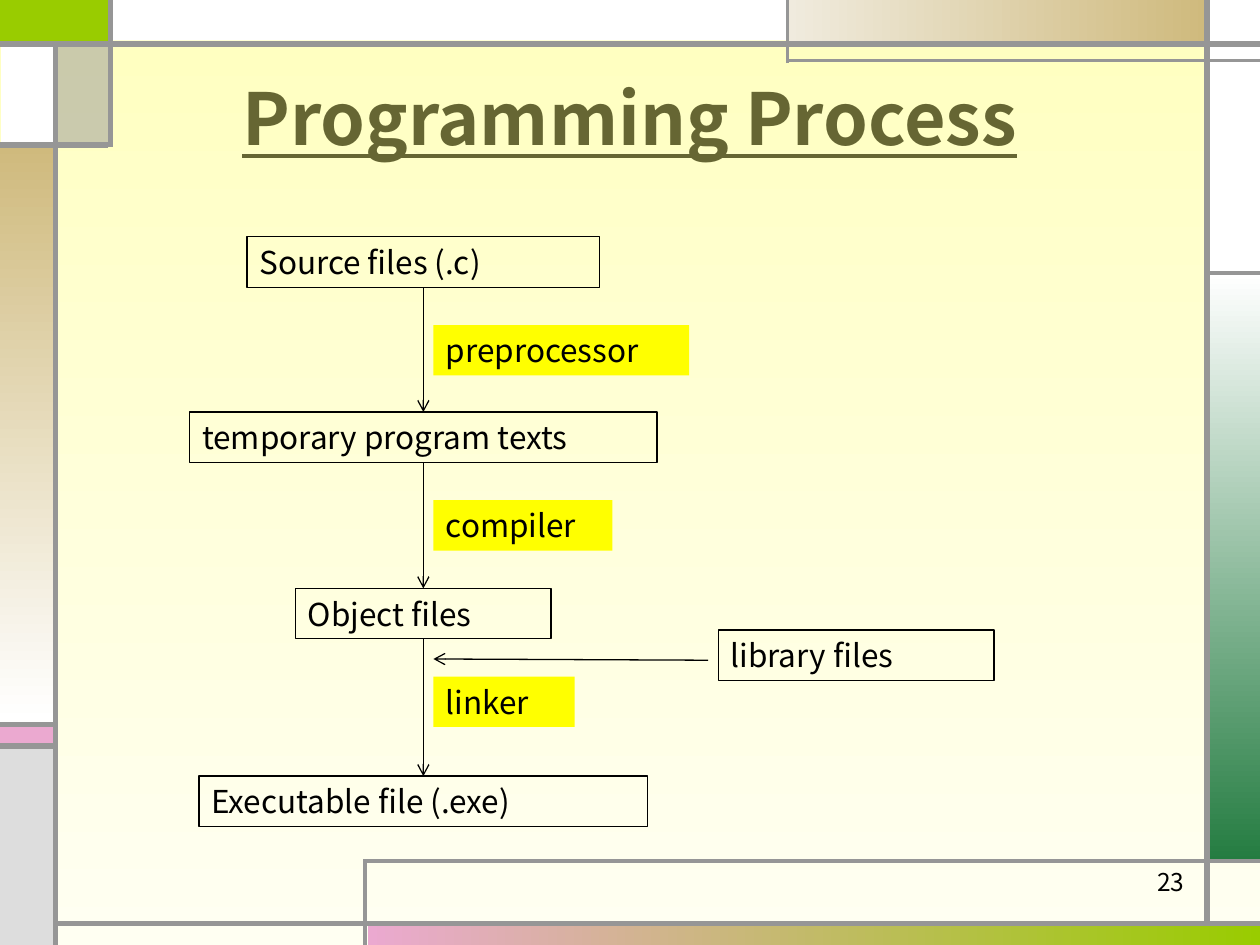
from dataclasses import dataclass

from lxml import etree
from pptx import Presentation
from pptx import util as u
from pptx.dml.color import RGBColor
from pptx.enum import shapes, text
from pptx.oxml.ns import qn

FONT = "Noto Sans CJK KR"
COLUMNS, ROWS = 10, 7.5
BLACK = RGBColor(0x00, 0x00, 0x00)
WHITE = RGBColor(0xFF, 0xFF, 0xFF)
GRAY = RGBColor(0x96, 0x96, 0x96)
SILVER = RGBColor(0xDD, 0xDD, 0xDD)
LIME = RGBColor(0x99, 0xCC, 0x00)
PINK = RGBColor(0xEB, 0xA9, 0xD0)
GREEN = RGBColor(0x24, 0x7C, 0x41)
SAND = RGBColor(0xCF, 0xBA, 0x7D)
PALE_SAND = RGBColor(0xF0, 0xEB, 0xDE)
CREAM = RGBColor(0xFF, 0xFF, 0xBF)
PALE_CREAM = RGBColor(0xFF, 0xFF, 0xF2)
OLIVE = RGBColor(0x66, 0x66, 0x33)
YELLOW = RGBColor(0xFF, 0xFF, 0x00)
RIGHTWARD, DOWNWARD = 0, 270


@dataclass
class Box:
    left: float
    top: float
    width: float
    height: float

    def inner(self, left, top, width, height):
        return Box(self.left + left, self.top + top, width, height)

    def emu(self):
        return [u.Inches(v) for v in (self.left, self.top, self.width, self.height)]


def paint(fill, colors, angle=DOWNWARD):
    if len(colors) == 1:
        fill.solid()
        fill.fore_color.rgb = colors[0]
        return
    fill.gradient()
    fill.gradient_angle = angle
    for stop, color in zip(fill.gradient_stops, colors):
        stop.color.rgb = color


def add_panel(slide, box, colors=(), angle=DOWNWARD, outline=None):
    panel = slide.shapes.add_shape(shapes.MSO_SHAPE.RECTANGLE, *box.emu())
    panel.shadow.inherit = False
    if colors:
        paint(panel.fill, colors, angle)
    else:
        panel.fill.background()
    if outline is None:
        panel.line.fill.background()
    else:
        panel.line.color.rgb = outline
        panel.line.width = u.Pt(0.75)
    return panel


def add_rule(slide, box, start, end, color, width, arrow=False):
    points = [u.Inches(v) for x, y in (start, end)
              for v in (box.left + x, box.top + y)]
    rule = slide.shapes.add_connector(shapes.MSO_CONNECTOR.STRAIGHT, *points)
    rule.line.color.rgb = color
    rule.line.width = u.Pt(width)
    properties = rule._element.spPr
    if arrow:
        etree.SubElement(properties.find(qn("a:ln")), qn("a:tailEnd"), type="arrow")
    etree.SubElement(properties, qn("a:effectLst"))
    return rule


def write(frame, words, size, color, align):
    paragraph = frame.paragraphs[0]
    paragraph.alignment = align
    run = paragraph.add_run()
    run.text = words
    run.font.name = FONT
    run.font.size = u.Pt(size)
    run.font.color.rgb = color
    return run


def add_label(slide, box, words, colors=(), outline=None):
    label = add_panel(slide, box, colors, outline=outline)
    frame = label.text_frame
    frame.word_wrap = True
    frame.margin_top = frame.margin_bottom = 0
    frame.vertical_anchor = text.MSO_ANCHOR.MIDDLE
    write(frame, words, 18, BLACK, text.PP_ALIGN.LEFT)
    return label


def build_border(slide, box):
    edge = 0.42
    right = box.width - edge
    panels = [
        ((0, 0, 0.87, 0.34), (LIME,), DOWNWARD),
        ((2.92, 7.33, 7.08, 0.17), (PINK, LIME), RIGHTWARD),
        ((right, 2.17, edge, 4.67), (WHITE, GREEN), DOWNWARD),
        ((0, 5.75, edge, 0.17), (PINK,), DOWNWARD),
        ((0, 5.93, edge, 1.57), (SILVER,), DOWNWARD),
        ((right, 0, edge, 2.17), (WHITE,), DOWNWARD),
        ((6.25, 0, 3.33, 0.33), (PALE_SAND, SAND), RIGHTWARD),
        ((0, 1.15, edge, 4.58), (SAND, WHITE), DOWNWARD),
        ((0.01, 0.33, edge, 0.82), (WHITE,), DOWNWARD),
        ((0.86, 0, 5.39, 0.32), (WHITE,), DOWNWARD),
    ]
    for place, colors, angle in panels:
        add_panel(slide, box.inner(*place), colors, angle)

    veil = add_panel(slide, box.inner(0.46, 0.33, edge, 0.82), (GRAY,))
    tint = veil._element.spPr.find(qn("a:solidFill"))[0]
    etree.SubElement(tint, qn("a:alpha"), val="50000")

    thick = [
        ((0.44, box.height), (0.44, 0.33)), ((0.44, 7.33), (box.width, 7.33)),
        ((right, 7.33), (right, 0)), ((0, 0.35), (box.width, 0.35)),
        ((0.88, 0), (0.88, 1.17)), ((0.86, 1.15), (0, 1.15)),
        ((0.46, 5.75), (0, 5.75)), ((0.46, 5.92), (0, 5.92)),
    ]
    thin = [
        ((box.width, 0.48), (6.25, 0.48)), ((6.25, 0.5), (6.25, 0)),
        ((right, 2.17), (box.width, 2.17)), ((2.9, box.height), (2.9, 6.82)),
        ((2.89, 6.83), (box.width, 6.83)),
    ]
    for rules, width in ((thick, 3), (thin, 2.25)):
        for start, end in rules:
            add_rule(slide, box, start, end, GRAY, width)


def build_title(slide, box):
    title = slide.shapes.title
    title.left, title.top, title.width, title.height = box.emu()
    title.text_frame.vertical_anchor = text.MSO_ANCHOR.MIDDLE
    run = write(title.text_frame, "Programming Process", 41, OLIVE, text.PP_ALIGN.CENTER)
    run.font.bold = True
    run.font.underline = True


def build_page_number(slide, box):
    frame = slide.shapes.add_textbox(*box.emu()).text_frame
    frame.word_wrap = True
    write(frame, "23", 14, BLACK, text.PP_ALIGN.RIGHT)


def build_flow(slide, box):
    height, axis, tool_left, tool_drop = 0.4, 1.86, 1.94, 0.7
    stages = [
        ("Source files (.c)", 0, 2.8),
        ("temporary program texts", 1.39, 3.71),
        ("Object files", 2.79, 2.03),
        ("Executable file (.exe)", 4.28, 3.56),
    ]
    tools = [("preprocessor", 2.03), ("compiler", 1.42), ("linker", 1.12)]

    files = [
        add_label(slide, box.inner(axis - width / 2, top, width, height), words, outline=BLACK)
        for words, top, width in stages
    ]
    for upper, lower in zip(files, files[1:]):
        arrow = add_rule(slide, box, (0, 0), (0, 0), BLACK, 0.75, arrow=True)
        arrow.begin_connect(upper, 2)
        arrow.end_connect(lower, 0)
    for (words, width), (_, top, _) in zip(tools, stages):
        add_label(slide, box.inner(tool_left, top + tool_drop, width, height), words, (YELLOW,))

    add_rule(slide, box, (4.12, 3.36), (tool_left, 3.35), BLACK, 0.75, arrow=True)
    add_label(slide, box.inner(4.2, 3.12, 2.19, height), "library files", outline=BLACK)


def main():
    deck = Presentation()
    deck.slide_width, deck.slide_height = u.Inches(COLUMNS), u.Inches(ROWS)
    slide = deck.slides.add_slide(deck.slide_layouts.get_by_name("Title Only"))
    paint(slide.background.fill, (CREAM, PALE_CREAM))
    build_border(slide, Box(0, 0, COLUMNS, ROWS))
    build_title(slide, Box(0.5, 0.3, 9, 1.25))
    build_page_number(slide, Box(7.17, 6.83, 2.33, 0.52))
    build_flow(slide, Box(1.5, 1.88, 6.39, 4.68))
    deck.save("out.pptx")


if __name__ == "__main__":
    main()
